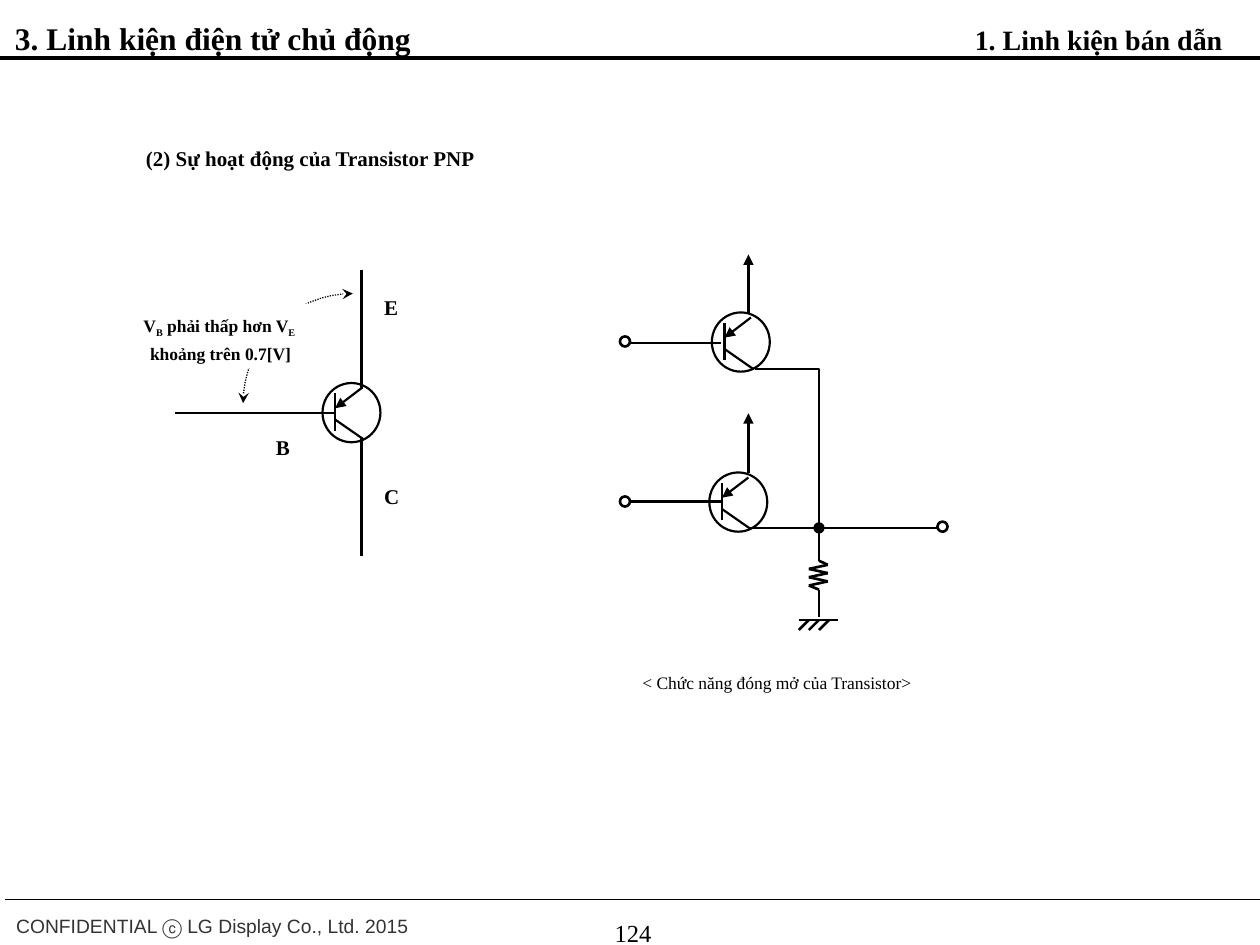
import math
from itertools import pairwise

from lxml import etree
from pptx import Presentation
from pptx.dml.color import RGBColor
from pptx.enum.dml import MSO_LINE
from pptx.enum.shapes import MSO_CONNECTOR, MSO_SHAPE
from pptx.enum.text import MSO_ANCHOR, PP_ALIGN
from pptx.oxml.ns import qn
from pptx.util import Inches, Pt

STRAIGHT = MSO_CONNECTOR.STRAIGHT
OVAL, RECTANGLE = MSO_SHAPE.OVAL, MSO_SHAPE.RECTANGLE
LEFT, CENTER, RIGHT = PP_ALIGN.LEFT, PP_ALIGN.CENTER, PP_ALIGN.RIGHT
TOP, MIDDLE = MSO_ANCHOR.TOP, MSO_ANCHOR.MIDDLE
DOTTED = MSO_LINE.ROUND_DOT

THEME = {
    "serif": "Times New Roman", "sans": "Arial",
    "ink": RGBColor(0, 0, 0), "paper": RGBColor(255, 255, 255),
    "footer": RGBColor(0x33, 0x33, 0x33),
    "title": 18, "section": 16, "page": 14, "heading": 12, "footer_size": 11, "note": 10,
    "hair": 0.75, "thin": 1.25, "wire": 1.5, "rule": 2.25,
}

# Text, box (left, top, width, height), size, bold, alignment
LABELS = [
    ("3. Linh kiện điện tử chủ động", (0.02, 0.04, 3.38, 0.4), "title", True, LEFT),
    ("1. Linh kiện bán dẫn", (7.61, 0.08, 2.19, 0.37), "section", True, RIGHT),
    ("(2) Sự hoạt động của Transistor PNP", (1.06, 1.07, 8.19, 0.4), "heading", True, LEFT),
    ("E", (2.95, 2.25, 0.31, 0.32), "heading", True, LEFT),
    ("C", (2.95, 3.75, 0.32, 0.32), "heading", True, LEFT),
    ("B", (2.09, 3.36, 0.31, 0.32), "heading", True, LEFT),
    ("< Chức năng đóng mở của Transistor>", (5, 5.25, 2.37, 0.3), "note", False, LEFT),
]
FOOTER = ("CONFIDENTIAL ⓒ LG Display Co., Ltd. 2015", (0.03, 7.17, 3.34, 0.3))
PAGE_NUMBER = ("124", (3.86, 7.14, 2.33, 0.52))

# Lines of (text, is subscript)
VOLTAGE_NOTE = [
    [("V", False), ("B", True), (" phải thấp hơn V", False), ("E ", True)],
    [("khoảng trên 0.7[V]", False)],
]
NOTE_BOX = (1.01, 2.41, 1.48, 0.51)
NOTE_ARC = (1.93, 2.33, 0.87)  # left, top, radius

RULES = [((0.04, 7.14), (10.04, 7.14), "hair"), ((0, 0.46), (10, 0.46), "rule")]
TRANSISTORS = [(2.56, 3.04), (5.65, 2.48), (5.63, 3.75)]
# Start, end, weight, arrow at the end
WIRES = [
    ((2.87, 3.47), (2.87, 4.41), "thin", None),
    ((2.87, 2.14), (2.87, 3.09), "thin", None),
    ((2.65, 3.28), (1.39, 3.28), "thin", None),
    ((5.01, 2.72), (5.72, 2.72), "thin", None),
    ((5.01, 3.98), (5.72, 3.98), "thin", None),
    ((5.94, 2.49), (5.94, 2.02), "wire", "triangle"),
    ((5.94, 3.75), (5.94, 3.28), "wire", "triangle"),
    ((5.95, 4.19), (6.51, 4.19), "wire", None),
    ((6.5, 4.19), (7.44, 4.19), "wire", None),
]
COLLECTOR_WIRE = [(5.99, 2.93), (6.5, 2.93), (6.5, 4.22)]
TERMINALS = [(4.92, 2.67), (4.92, 3.94), (7.44, 4.14)]
JUNCTION = (6.46, 4.15)
DOT = 0.08


def style_line(line, weight):
    line.color.rgb = THEME["ink"]
    line.width = Pt(THEME[weight])


def add_arrowheads(line, **ends):
    """Put arrowheads on a line; the keywords are headEnd and tailEnd, in that order."""
    for end, kind in ends.items():
        etree.SubElement(line._get_or_add_ln(), qn("a:" + end), type=kind)


def add_line(shapes, start, end, weight, arrow=None):
    connector = shapes.add_connector(STRAIGHT, *map(Inches, start + end))
    style_line(connector.line, weight)
    if arrow:
        add_arrowheads(connector.line, tailEnd=arrow)
    etree.SubElement(connector._element.spPr, qn("a:effectLst"))


def add_circle(shapes, box, weight, fill=None):
    circle = shapes.add_shape(OVAL, *map(Inches, box))
    circle.shadow.inherit = False
    if fill:
        circle.fill.solid()
        circle.fill.fore_color.rgb = THEME[fill]
    else:
        circle.fill.background()
    style_line(circle.line, weight)


def add_path(shapes, points, weight):
    start, *rest = [(Inches(x), Inches(y)) for x, y in points]
    builder = shapes.build_freeform(*start)
    builder.add_line_segments(rest, close=False)
    path = builder.convert_to_shape()
    path.shadow.inherit = False
    path.fill.background()
    style_line(path.line, weight)
    return path


def add_run(paragraph, text, size, bold=False, font="serif", color="ink"):
    run = paragraph.add_run()
    run.text = text
    run.font.name = THEME[font]
    run.font.size = Pt(THEME[size])
    run.font.bold = bold
    run.font.color.rgb = THEME[color]
    return run


def add_label(shapes, text, box, size, bold=False, align=LEFT, spacing=1.2, **style):
    frame = shapes.add_textbox(*map(Inches, box)).text_frame
    frame.word_wrap = False
    paragraph = frame.paragraphs[0]
    paragraph.alignment = align
    paragraph.line_spacing = spacing
    add_run(paragraph, text, size, bold, **style)
    return frame


def add_transistor(shapes, left, top):
    group = shapes.add_group_shape().shapes
    add_circle(group, (left, top, 0.46, 0.47), "thin")
    for (x1, y1), (x2, y2), arrow in [
        ((0.1, 0.38), (0.1, 0.08), None),
        ((0.33, 0.45), (0.1, 0.29), None),
        ((0.31, 0.04), (0.1, 0.2), "triangle"),
    ]:
        add_line(group, (left + x1, top + y1), (left + x2, top + y2), "thin", arrow)


def add_resistor(shapes, x, top, bottom):
    group = shapes.add_group_shape().shapes
    first, last, bends = 4.45, 4.68, 6
    step = (last - first) / (bends + 1)
    zigzag = [(x + (-0.08 if i % 2 else 0.07), first + step * (i + 1)) for i in range(bends)]
    points = [(x, top), (x, first), *zigzag, (x, last), (x, bottom)]
    for start, end in pairwise(points):
        add_line(group, start, end, "wire")


def add_ground(shapes, x, y):
    group = shapes.add_group_shape().shapes
    add_line(group, (x - 0.16, y), (x + 0.15, y), "wire")
    for offset in (-0.08, 0, 0.08):
        add_line(group, (x + offset, y), (x + offset - 0.08, y + 0.08), "wire")


def add_voltage_note(shapes):
    """Dotted double arrow, partly hidden by the note in front of it."""
    left, top, radius = NOTE_ARC
    steps = 16
    angles = [math.pi / 2 * i / steps for i in range(steps + 1)]
    points = [(left + radius * (1 - math.cos(a)), top + radius * (1 - math.sin(a))) for a in angles]
    arc = add_path(shapes, points, "hair")
    arc.line.dash_style = DOTTED
    add_arrowheads(arc.line, headEnd="stealth", tailEnd="stealth")

    note = shapes.add_shape(RECTANGLE, *map(Inches, NOTE_BOX))
    note.shadow.inherit = False
    note.fill.solid()
    note.fill.fore_color.rgb = THEME["paper"]
    note.line.fill.background()
    frame = note.text_frame
    frame.word_wrap = False
    frame.vertical_anchor = TOP
    for i, parts in enumerate(VOLTAGE_NOTE):
        paragraph = frame.add_paragraph() if i else frame.paragraphs[0]
        paragraph.alignment = CENTER
        paragraph.line_spacing = 1.2
        for text, subscript in parts:
            run = add_run(paragraph, text, "note", True)
            if subscript:
                run._r.get_or_add_rPr().set("baseline", "-25000")


def main():
    presentation = Presentation()
    presentation.slide_width, presentation.slide_height = Inches(10), Inches(7.5)
    shapes = presentation.slides.add_slide(presentation.slide_layouts[6]).shapes

    for rule in RULES:
        add_line(shapes, *rule)
    add_label(shapes, *FOOTER, "footer_size", font="sans", color="footer")
    page = add_label(shapes, *PAGE_NUMBER, "page", align=CENTER, spacing=1)
    page.word_wrap = True
    page.vertical_anchor = MIDDLE

    add_voltage_note(shapes)
    for label in LABELS:
        add_label(shapes, *label)
    for corner in TRANSISTORS:
        add_transistor(shapes, *corner)
    for wire in WIRES:
        add_line(shapes, *wire)
    add_path(shapes, COLLECTOR_WIRE, "wire")
    add_resistor(shapes, 6.5, 4.22, 4.9)
    add_ground(shapes, 6.5, 4.92)
    add_circle(shapes, (*JUNCTION, DOT, DOT), "hair", "ink")
    for corner in TERMINALS:
        add_circle(shapes, (*corner, DOT, DOT), "wire", "paper")

    presentation.save("out.pptx")


if __name__ == "__main__":
    main()
